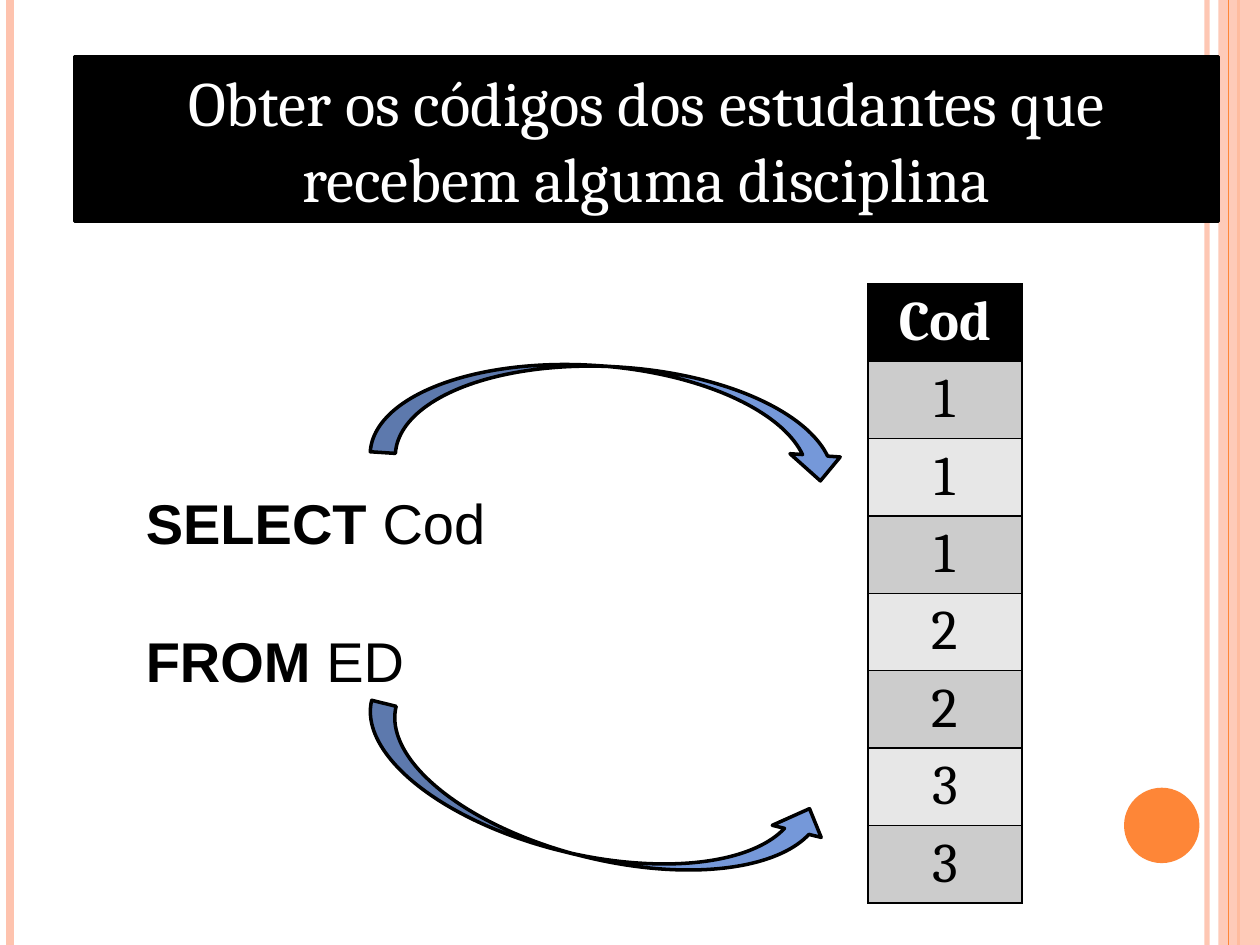
from pptx import Presentation
from pptx import util as u
from pptx.dml.color import RGBColor
from pptx.enum import shapes, text
from pptx.oxml.ns import qn
from lxml import etree

Cm, Pt = u.Cm, u.Pt
COLORS = {
    "black": "000000", "white": "FFFFFF", "peach": "FEC3AE", "orange": "FE8637",
    "blue": "7598D9", "dark_row": "CCCCCC", "light_row": "E7E7E7",
}
SLIDE_WIDTH, SLIDE_HEIGHT = 25.4, 19.05


def color(name):
    return RGBColor.from_string(COLORS[name])


def paint(shape, fill, line=None):
    shape.fill.solid()
    shape.fill.fore_color.rgb = color(fill)
    if line:
        shape.line.color.rgb = color(line)
        shape.line.width = Pt(2)
    else:
        shape.line.fill.background()


def set_alpha(shape, percent):
    rgb = next(shape.element.spPr.iter(qn("a:srgbClr")))
    etree.SubElement(rgb, qn("a:alpha")).set("val", str(percent * 1000))


def add_run(paragraph, words, size, font, name="black", bold=False):
    run = paragraph.add_run()
    run.text = words
    run.font.size = Pt(size)
    run.font.name = font
    run.font.bold = bold
    run.font.color.rgb = color(name)


def add_shape(slide, kind, box, fill, line=None):
    shape = slide.shapes.add_shape(kind, *(Cm(value) for value in box))
    shape.shadow.inherit = False
    paint(shape, fill, line)
    return shape


def add_rule(slide, x, name, width):
    rule = slide.shapes.add_connector(
        shapes.MSO_CONNECTOR.STRAIGHT, Cm(x), 0, Cm(x), Cm(SLIDE_HEIGHT))
    rule.line.color.rgb = color(name)
    rule.line.width = Pt(width)
    etree.SubElement(rule.element.spPr, qn("a:effectLst"))
    return rule


def add_frame(slide):
    set_alpha(add_rule(slide, 24.33, "peach", 3), 93)
    add_rule(slide, 0.2, "peach", 4.5)
    add_rule(slide, 24.97, "orange", 1.5)
    band_left = 24.56
    band = add_shape(slide, shapes.MSO_SHAPE.RECTANGLE,
                     (band_left, 0, SLIDE_WIDTH - band_left, SLIDE_HEIGHT), "peach")
    set_alpha(band, 87)
    add_rule(slide, 24.77, "orange", 0.75)
    add_shape(slide, shapes.MSO_SHAPE.OVAL, (22.66, 15.88, 1.52, 1.52), "orange")


def add_border(cell):
    properties = cell._tc.get_or_add_tcPr()
    for index, side in enumerate(("lnL", "lnR", "lnT", "lnB")):
        line = etree.Element(qn(f"a:{side}"), w=str(Pt(1)))
        fill = etree.SubElement(line, qn("a:solidFill"))
        etree.SubElement(fill, qn("a:srgbClr")).set("val", COLORS["black"])
        properties.insert(index, line)


def add_result_table(slide, box, values):
    table = slide.shapes.add_table(
        len(values), 1, *(Cm(value) for value in box)).table
    for index, value in enumerate(values):
        header = index == 0
        table.rows[index].height = Cm(box[3] / len(values))
        cell = table.cell(index, 0)
        cell.fill.solid()
        cell.fill.fore_color.rgb = color(
            "black" if header else "dark_row" if index % 2 else "light_row")
        add_border(cell)
        paragraph = cell.text_frame.paragraphs[0]
        paragraph.alignment = text.PP_ALIGN.CENTER
        add_run(paragraph, value, 32, "Cambria",
                "white" if header else "black", header)


def add_query(slide, box, clauses):
    frame = slide.shapes.add_textbox(*(Cm(value) for value in box)).text_frame
    frame.word_wrap = False
    for index, (keyword, name) in enumerate(clauses):
        paragraph = frame.paragraphs[0] if index == 0 else frame.add_paragraph()
        if index:
            paragraph.space_before = Pt(40)
        add_run(paragraph, keyword + " ", 32, "Arial", bold=True)
        add_run(paragraph, name, 32, "Arial")


def add_title(slide, box, words):
    title = slide.shapes.title
    title.left, title.top, title.width, title.height = (Cm(value) for value in box)
    paint(title, "black", "black")
    frame = title.text_frame
    frame.word_wrap = True
    frame.auto_size = text.MSO_AUTO_SIZE.NONE
    frame.vertical_anchor = text.MSO_ANCHOR.MIDDLE
    paragraph = frame.paragraphs[0]
    paragraph.alignment = text.PP_ALIGN.CENTER
    add_run(paragraph, words, 36, "Cambria", "white")
    # Bring the title in front of the frame lines
    title.element.getparent().append(title.element)


def add_curved_arrow(slide, left, top, rotation, flipped=False):
    arrow = add_shape(slide, shapes.MSO_SHAPE.CURVED_UP_ARROW,
                      (left, top, 9.6, 2.03), "blue", "black")
    arrow.rotation = rotation
    if flipped:
        arrow.element.spPr.find(qn("a:xfrm")).set("flipV", "1")


def main():
    presentation = Presentation()
    presentation.slide_width = Cm(SLIDE_WIDTH)
    presentation.slide_height = Cm(SLIDE_HEIGHT)
    slide = presentation.slides.add_slide(presentation.slide_layouts[5])

    add_frame(slide)
    # Query and its result
    add_result_table(slide, (17.5, 5.72, 3.1, 12.48),
                     ["Cod", "1", "1", "1", "2", "2", "3", "3"])
    add_query(slide, (2.69, 9.73, 7.54, 4.37),
              [("SELECT", "Cod"), ("FROM", "ED")])
    add_title(slide, (1.5, 1.14, 23.06, 3.33),
              "Obter os códigos dos estudantes que recebem alguma disciplina")
    # Arrows from the query to the result
    add_curved_arrow(slide, 7.11, 15.24, 13.9)
    add_curved_arrow(slide, 7.52, 7.39, 3.7, flipped=True)

    presentation.save("out.pptx")


if __name__ == "__main__":
    main()
